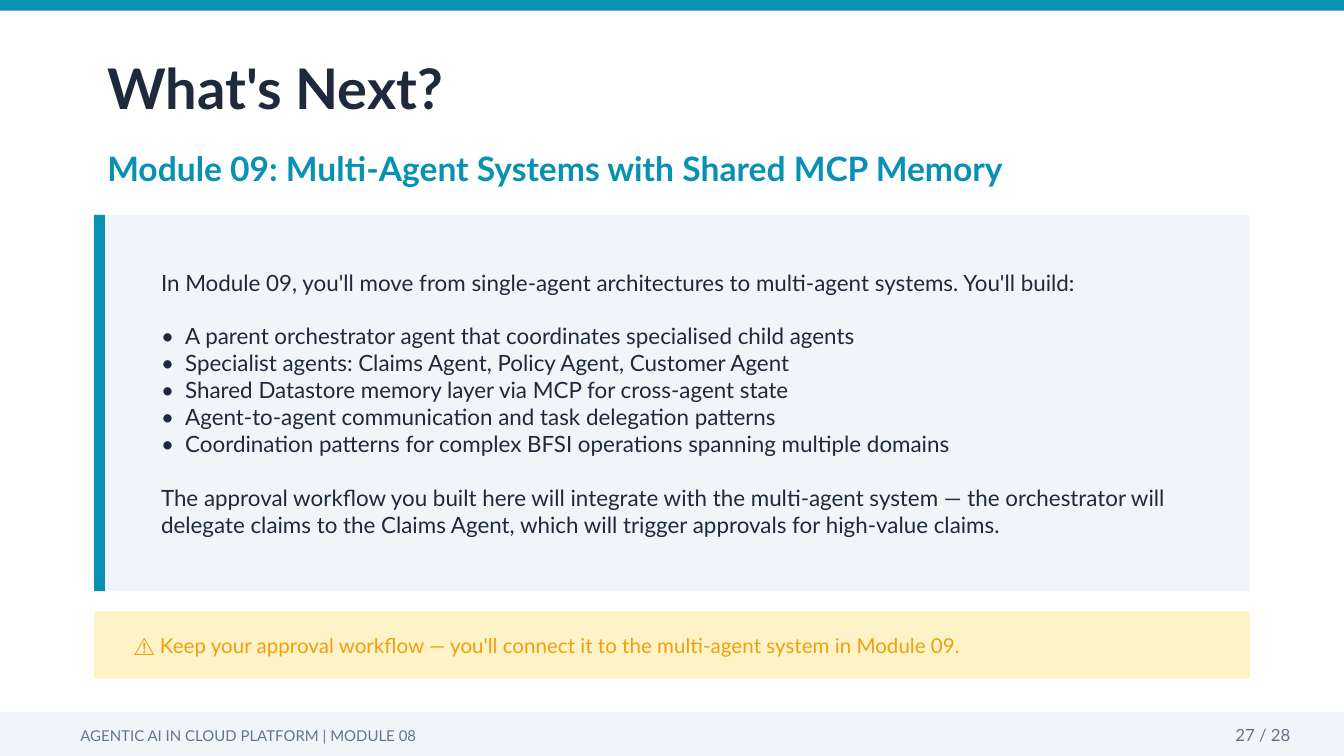
"""Build the closing "What's Next?" slide of a training module."""
from dataclasses import dataclass
from typing import NamedTuple

from lxml.etree import SubElement
from pptx import Presentation
from pptx.dml.color import RGBColor
from pptx.enum.shapes import MSO_SHAPE as Preset
from pptx.enum.text import MSO_ANCHOR as Anchor, PP_ALIGN as Align
from pptx.oxml.ns import qn
from pptx.slide import Slide
from pptx.util import Inches, Pt

CELL = Inches(0.1)
COLUMNS, ROWS = 100, 56.25


@dataclass(frozen=True)
class Theme:
    font: str = "Lato"
    accent: str = "0891B2"
    ink: str = "1E293B"
    panel: str = "F1F5F9"
    muted: str = "64748B"
    notice: str = "FEF3C7"
    warning: str = "F59E0B"
    title: int = 30
    subtitle: int = 18
    body: int = 12
    callout: int = 11
    page: int = 9
    footer: int = 8
    line_gap: float = 14.4


class Area(NamedTuple):
    column: float
    row: float
    columns: float
    rows: float

    def lengths(self) -> list[int]:
        return [round(count * CELL) for count in self]


class Line(NamedTuple):
    words: str
    bulleted: bool = False
    gap_before: float = 0


THEME = Theme()
MARGIN, CONTENT = 7, 86
STRIPE = 0.8
PANEL_ROW, PANEL_ROWS = 16, 28
FOOTER_ROW = 53

BANDS = [
    (Area(0, 0, COLUMNS, STRIPE), THEME.accent),
    (Area(MARGIN, PANEL_ROW, CONTENT, PANEL_ROWS), THEME.panel),
    (Area(MARGIN, PANEL_ROW, STRIPE, PANEL_ROWS), THEME.accent),
    (Area(MARGIN, 45.5, CONTENT, 5), THEME.notice),
    (Area(0, FOOTER_ROW, COLUMNS, ROWS - FOOTER_ROW), THEME.panel),
]

TOPICS = [
    "A parent orchestrator agent that coordinates specialised child agents",
    "Specialist agents: Claims Agent, Policy Agent, Customer Agent",
    "Shared Datastore memory layer via MCP for cross-agent state",
    "Agent-to-agent communication and task delegation patterns",
    "Coordination patterns for complex BFSI operations spanning multiple domains",
]

OUTLOOK = [
    Line("In Module 09, you'll move from single-agent architectures to "
         "multi-agent systems. You'll build:"),
    *(Line(topic, True, 0 if index else THEME.line_gap)
      for index, topic in enumerate(TOPICS)),
    Line("The approval workflow you built here will integrate with the "
         "multi-agent system — the orchestrator will delegate claims to the "
         "Claims Agent, which will trigger approvals for high-value claims.",
         gap_before=THEME.line_gap),
]


def draw_band(slide: Slide, area: Area, color: str) -> None:
    band = slide.shapes.add_shape(Preset.RECTANGLE, *area.lengths())
    band.shadow.inherit = False
    band.fill.solid()
    band.fill.fore_color.rgb = RGBColor.from_string(color)
    band.line.fill.background()


def write(slide: Slide, area: Area, text: str | list[Line], *, size: float,
          color: str = THEME.ink, bold: bool = False,
          align: Align = Align.LEFT) -> None:
    frame = slide.shapes.add_textbox(*area.lengths()).text_frame
    frame.word_wrap = True
    frame.vertical_anchor = Anchor.MIDDLE
    lines = [Line(text)] if isinstance(text, str) else text
    for index, line in enumerate(lines):
        paragraph = frame.add_paragraph() if index else frame.paragraphs[0]
        paragraph.alignment = align
        paragraph.space_before = Pt(line.gap_before)
        if line.bulleted:
            add_bullet(paragraph)
        run = paragraph.add_run()
        run.text = line.words
        run.font.name = THEME.font
        run.font.size = Pt(size)
        run.font.bold = bold
        run.font.color.rgb = RGBColor.from_string(color)


def add_bullet(paragraph) -> None:
    properties = paragraph._p.get_or_add_pPr()
    indent = Inches(0.18)
    properties.set("marL", str(indent))
    properties.set("indent", str(-indent))
    SubElement(properties, qn("a:buFont"), typeface=THEME.font)
    SubElement(properties, qn("a:buChar"), char="•")


def main() -> None:
    deck = Presentation()
    deck.slide_width = round(COLUMNS * CELL)
    deck.slide_height = round(ROWS * CELL)
    slide = deck.slides.add_slide(deck.slide_layouts[6])

    for area, color in BANDS:
        draw_band(slide, area, color)

    write(slide, Area(MARGIN, 3.5, 80, 6), "What's Next?",
          size=THEME.title, bold=True)
    write(slide, Area(MARGIN, 10, CONTENT, 5),
          "Module 09: Multi-Agent Systems with Shared MCP Memory",
          size=THEME.subtitle, color=THEME.accent, bold=True)
    write(slide, Area(11, PANEL_ROW + 1.5, 79, PANEL_ROWS - 3), OUTLOOK,
          size=THEME.body)
    write(slide, Area(MARGIN + 2, 46.5, CONTENT - 4, 3),
          "⚠️ Keep your approval workflow — you'll connect it to the "
          "multi-agent system in Module 09.",
          size=THEME.callout, color=THEME.warning)
    write(slide, Area(5, 53.3, 60, 2.8),
          "AGENTIC AI IN CLOUD PLATFORM | MODULE 08",
          size=THEME.footer, color=THEME.muted)
    write(slide, Area(87, 53.2, 10, 3), "27 / 28",
          size=THEME.page, color=THEME.muted, align=Align.RIGHT)

    deck.save("out.pptx")


if __name__ == "__main__":
    main()
